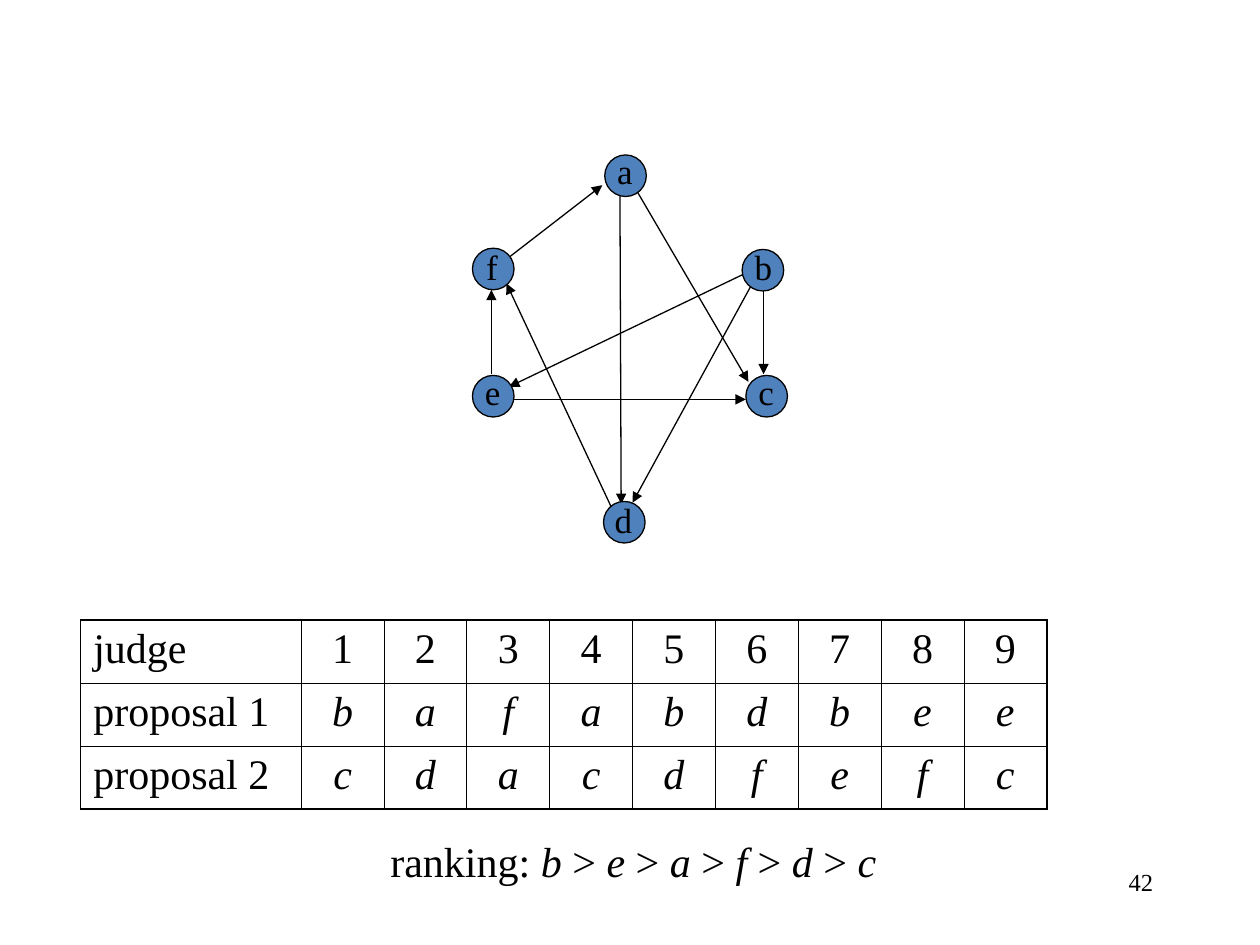
"""Build a slide with a preference graph, the judges' table and the ranking."""
from lxml import etree
from pptx import Presentation
from pptx import util as u
from pptx.dml.color import RGBColor
from pptx.enum import shapes, text
from pptx.oxml import ns

BLACK = RGBColor(0x00, 0x00, 0x00)
BLUE = RGBColor(0x4F, 0x81, 0xBD)
FONT = "Times New Roman"

NODE_SIZE = 0.33
NODES = {
    "d": ((4.79, 3.98), (4.78, 3.91), 0.34),
    "a": ((4.80, 1.23), (4.80, 1.14), 0.32),
    "b": ((5.89, 1.98), (5.89, 1.90), 0.34),
    "c": ((5.92, 2.98), (5.92, 2.89), 0.32),
    "e": ((3.75, 2.98), (3.75, 2.89), 0.32),
    "f": ((3.75, 1.97), (3.76, 1.90), 0.29),
}
ARROWS = [
    ((3.90, 2.97), (3.90, 2.30)),
    ((6.02, 2.16), (5.02, 3.99)),
    ((6.06, 2.07), (6.06, 2.97)),
    ((5.01, 1.44), (5.94, 3.03)),
    ((4.03, 2.05), (4.78, 1.47)),
    ((4.92, 4.17), (4.02, 2.25)),
    ((4.08, 3.17), (5.92, 3.17)),
    ((4.92, 1.42), (4.93, 4.00)),
    ((6.06, 2.10), (4.04, 3.07)),
]
VOTES = [("judge", "123456789"), ("proposal 1", "bafabdbee"), ("proposal 2", "cdacdfefc")]
RANKING = "beafdc"


def write(para, words, size=24, italic=False, align=None):
    """Add a formatted run to a paragraph."""
    if align is not None:
        para.alignment = align
    span = para.add_run()
    span.text = words
    span.font.name = FONT
    span.font.size = u.Pt(size)
    span.font.italic = italic
    span.font.color.rgb = BLACK


class SlideBuilder:
    """Hold the line style and the current page."""

    def __init__(self, page, line_width=0.75, thin=0.45, thick=1.08):
        self.page = page
        self.line_width = u.Pt(line_width)
        self.thin = u.Pt(thin)
        self.thick = u.Pt(thick)

    def text_box(self, parent, left, top, width, height, wrap=False):
        """Add a text box and return its first paragraph."""
        box = parent.add_textbox(*map(u.Inches, (left, top, width, height)))
        box.text_frame.word_wrap = wrap
        if not wrap:
            box.text_frame.auto_size = text.MSO_AUTO_SIZE.SHAPE_TO_FIT_TEXT
        return box.text_frame.paragraphs[0]

    def arrow(self, parent, start, end):
        """Add a straight arrow."""
        arrow = parent.add_connector(
            shapes.MSO_CONNECTOR.STRAIGHT, *map(u.Inches, start + end))
        arrow.line.color.rgb = BLACK
        arrow.line.width = self.line_width
        properties = arrow.element.spPr
        etree.SubElement(properties.find(ns.qn("a:ln")), ns.qn("a:tailEnd"), type="triangle")
        etree.SubElement(properties, ns.qn("a:effectLst"))

    def node(self, parent, letter, corner, label_corner, label_width):
        """Add a circle with its letter."""
        circle = parent.add_shape(
            shapes.MSO_SHAPE.OVAL, *map(u.Inches, corner + (NODE_SIZE, NODE_SIZE)))
        circle.shadow.inherit = False
        circle.fill.solid()
        circle.fill.fore_color.rgb = BLUE
        circle.line.color.rgb = BLACK
        circle.line.width = self.line_width
        write(self.text_box(parent, *label_corner, label_width, 0.44), letter, size=20)

    def graph(self):
        """Add the grouped arrows and nodes."""
        parent = self.page.shapes.add_group_shape().shapes
        for start, end in ARROWS:
            self.arrow(parent, start, end)
        for letter, place in NODES.items():
            self.node(parent, letter, *place)

    def borders(self, cell, outer):
        """Draw a cell's borders, thick on the outer sides."""
        properties = cell._tc.get_or_add_tcPr()
        for position, side in enumerate("LRTB"):
            width = self.thick if side in outer else self.thin
            line = etree.Element(ns.qn(f"a:ln{side}"), w=str(width))
            fill = etree.SubElement(line, ns.qn("a:solidFill"))
            etree.SubElement(fill, ns.qn("a:srgbClr"), val=str(BLACK))
            properties.insert(position, line)

    def vote_table(self, left, top, width, label_width, row_height):
        """Add the table of judges and proposals."""
        rows, columns = len(VOTES), len(VOTES[0][1]) + 1
        vote_width = (width - label_width) / (columns - 1)
        table = self.page.shapes.add_table(
            rows, columns, *map(u.Inches, (left, top, width, row_height * rows))).table
        table.first_row = table.horz_banding = False
        for index, column in enumerate(table.columns):
            column.width = u.Inches(vote_width if index else label_width)
        for row, (label, votes) in enumerate(VOTES):
            for column, words in enumerate([label, *votes]):
                cell = table.cell(row, column)
                cell.fill.background()
                edges = {"L": column == 0, "R": column == columns - 1,
                         "T": row == 0, "B": row == rows - 1}
                self.borders(cell, [side for side, outer in edges.items() if outer])
                align = text.PP_ALIGN.CENTER if column else text.PP_ALIGN.LEFT
                write(cell.text_frame.paragraphs[0], words,
                      italic=row > 0 and column > 0, align=align)

    def ranking(self):
        """Add the final ranking."""
        para = self.text_box(self.page.shapes, 3, 6.58, 4.15, 0.5)
        for index, letter in enumerate(RANKING):
            write(para, " > " if index else "ranking: ")
            write(para, letter, italic=True)

    def page_number(self, number):
        """Add the page number."""
        para = self.text_box(self.page.shapes, 7.17, 6.83, 2.08, 0.5, wrap=True)
        write(para, number, size=14, align=text.PP_ALIGN.RIGHT)


def main():
    """Build and save the deck."""
    deck = Presentation()
    deck.slide_width, deck.slide_height = u.Inches(10), u.Inches(7.5)
    builder = SlideBuilder(deck.slides.add_slide(deck.slide_layouts[6]))
    builder.page_number("42")
    builder.vote_table(0.64, 4.92, 7.67, 1.75, 0.5)
    builder.graph()
    builder.ranking()
    deck.save("out.pptx")


if __name__ == "__main__":
    main()
